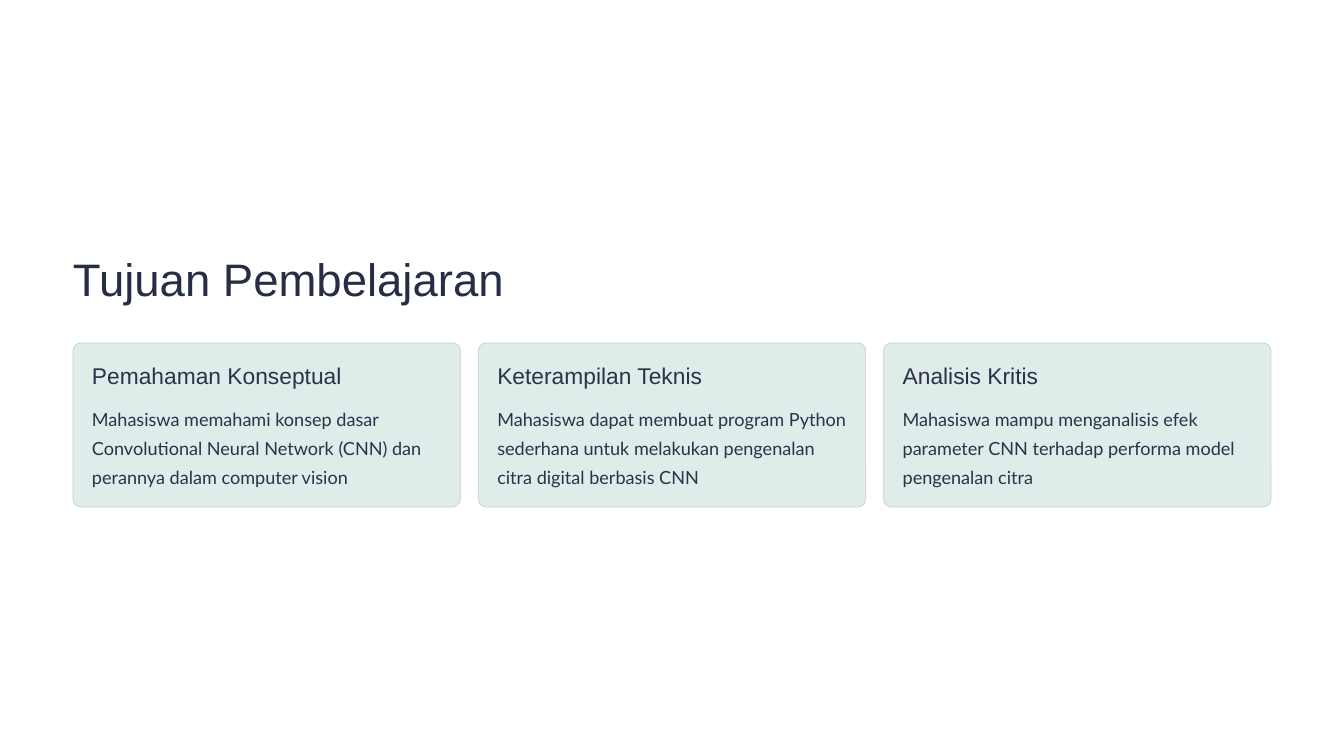
from pptx import Presentation
from pptx.dml.color import RGBColor
from pptx.enum.shapes import MSO_SHAPE
from pptx.util import Emu, Pt

PX = 914400 // 84
WHITE = RGBColor(0xFF, 0xFF, 0xFF)
TITLE_INK = RGBColor(0x27, 0x2D, 0x45)
CARD_INK = RGBColor(0x2C, 0x32, 0x49)
CARD_FILL = RGBColor(0xDF, 0xEC, 0xE9)
CARD_EDGE = RGBColor(0xC5, 0xD2, 0xCF)

GOALS = [
    ("Pemahaman Konseptual",
     "Mahasiswa memahami konsep dasar Convolutional Neural Network (CNN) "
     "dan perannya dalam computer vision"),
    ("Keterampilan Teknis",
     "Mahasiswa dapat membuat program Python sederhana untuk melakukan "
     "pengenalan citra digital berbasis CNN"),
    ("Analisis Kritis",
     "Mahasiswa mampu menganalisis efek parameter CNN terhadap performa "
     "model pengenalan citra"),
]


def px(length):
    """Turn a length in px into EMU."""
    return Emu(round(length * PX))


def add_text(page, box, text, font_name, size, color, leading, wrap=False):
    """Place one paragraph of text in the given box without insets."""
    frame = page.shapes.add_textbox(*map(px, box)).text_frame
    frame.margin_left = frame.margin_top = 0
    frame.margin_right = frame.margin_bottom = 0
    frame.word_wrap = wrap
    para = frame.paragraphs[0]
    para.text = text
    para.line_spacing = Pt(leading)
    para.font.name = font_name
    para.font.size = Pt(size)
    para.font.color.rgb = color


def add_card(page, box, heading, body):
    """Draw a rounded card with its heading and body."""
    left, top, width, height = box
    card = page.shapes.add_shape(MSO_SHAPE.ROUNDED_RECTANGLE, *map(px, box))
    card.adjustments[0] = 0.046
    card.shadow.inherit = False
    card.fill.solid()
    card.fill.fore_color.rgb = CARD_FILL
    card.line.color.rgb = CARD_EDGE
    card.line.width = Pt(0.6)
    inner_left, inner_width = left + 19, width - 38
    add_text(page, (inner_left, top + 18, inner_width, 29), heading,
             "Arial", 19.5, CARD_INK, 24)
    add_text(page, (inner_left, top + 58, inner_width, 87), body,
             "Lato", 15.5, CARD_INK, 25, wrap=True)


def add_goal_row(page, box, gap):
    """Spread the goal cards evenly over the given box."""
    left, top, width, height = box
    card_width = (width - gap * (len(GOALS) - 1)) / len(GOALS)
    for index, (heading, body) in enumerate(GOALS):
        card_left = left + index * (card_width + gap)
        add_card(page, (card_left, top, card_width, height), heading, body)


def main():
    """Build the learning goals slide."""
    deck = Presentation()
    deck.slide_width, deck.slide_height = px(1344), px(756)
    page = deck.slides.add_slide(deck.slide_layouts[6])
    page.background.fill.solid()
    page.background.fill.fore_color.rgb = WHITE
    add_text(page, (73, 249, 456, 57), "Tujuan Pembelajaran",
             "Arial", 39, TITLE_INK, 48.5)
    add_goal_row(page, (73, 343, 1198, 164), 18)
    deck.save("out.pptx")


if __name__ == "__main__":
    main()
